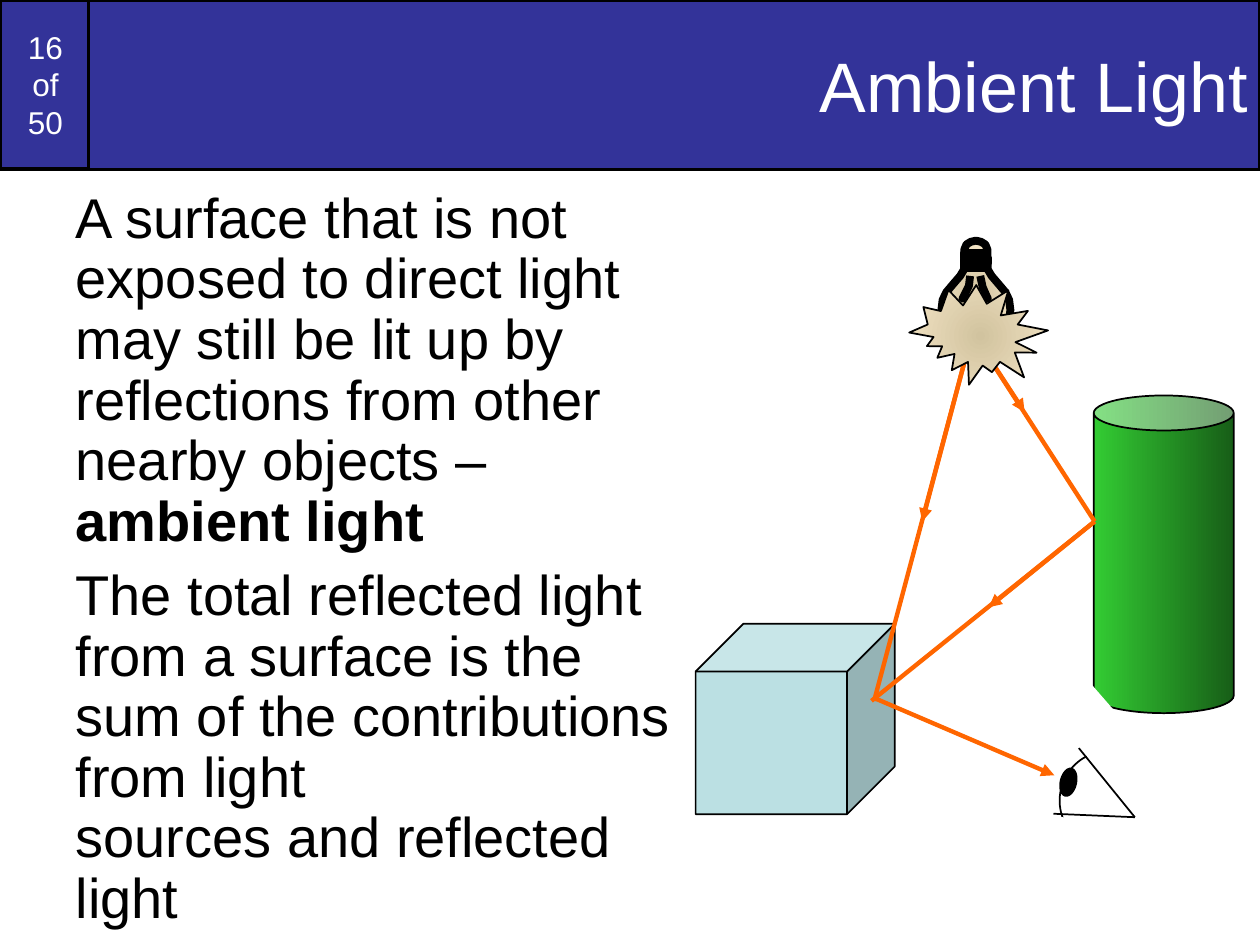
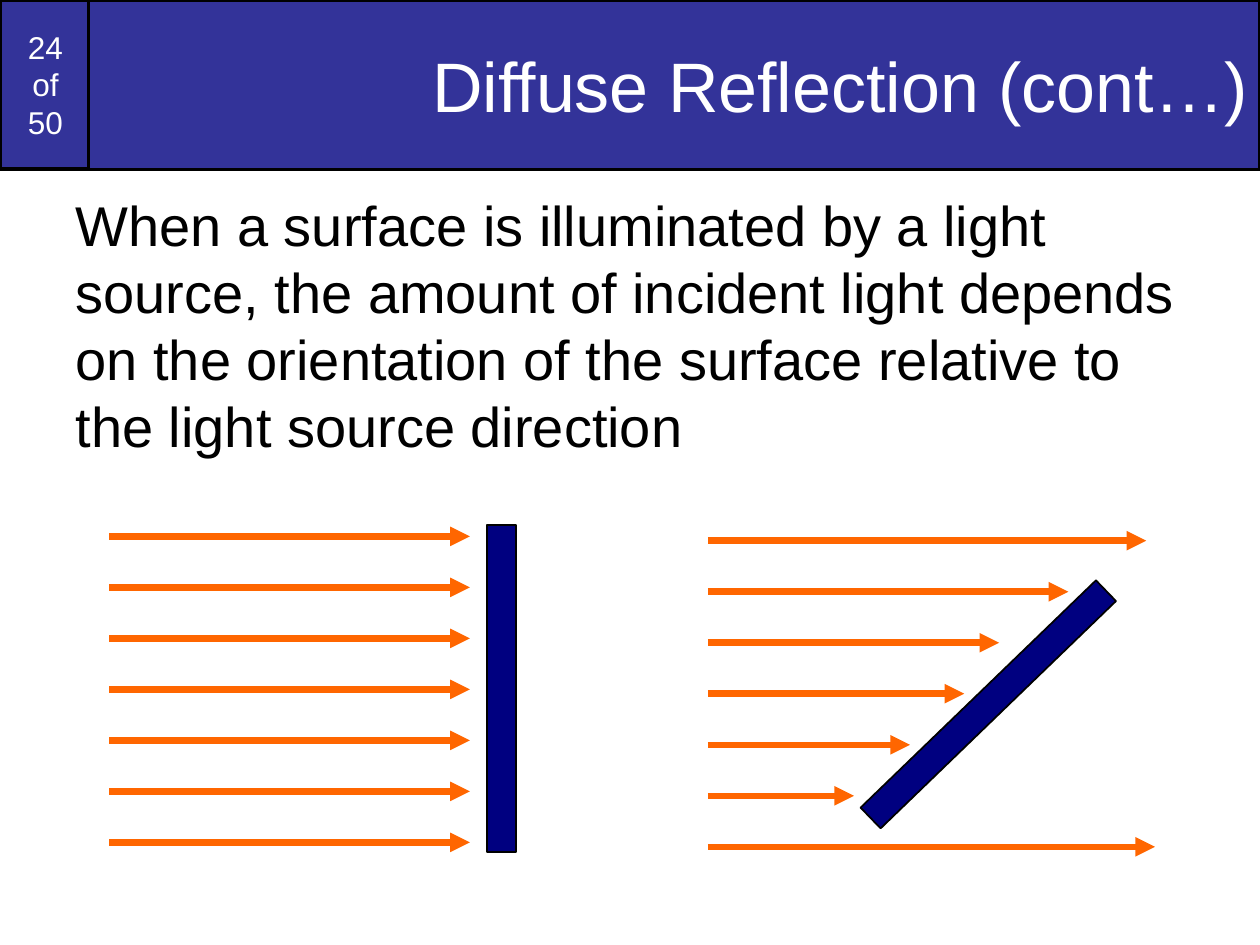
"""Build two lecture slides on ambient light and diffuse reflection."""
import dataclasses

import lxml.etree
import pptx
import pptx.dml.color
import pptx.enum.shapes
import pptx.enum.text
import pptx.oxml
import pptx.oxml.ns
import pptx.util

Pt = pptx.util.Pt
SHAPE = pptx.enum.shapes.MSO_SHAPE
ALIGN = pptx.enum.text.PP_ALIGN
ANCHOR = pptx.enum.text.MSO_ANCHOR
qn = pptx.oxml.ns.qn


@dataclasses.dataclass(frozen=True)
class Theme:
    font: str = "Arial"
    band: str = "333399"
    paper: str = "FFFFFF"
    ink: str = "000000"
    ray: str = "FF6600"
    surface: str = "000080"
    cube: str = "BBE0E3"
    can: tuple = ("33CC33", "175E17")
    glow: tuple = ("D1C39F", "FFEFD1")
    title_size: float = 40
    body_size: float = 32
    number_size: float = 18
    band_line: float = 2
    thin_line: float = 1
    ray_line: float = 2.5
    beam_line: float = 3.75
    bulb_line: float = 4.5


def rgb(color):
    return pptx.dml.color.RGBColor.from_string(color)


class Deck:
    def __init__(self, theme, pages):
        self.theme = theme
        self.pages = pages
        self.prs = pptx.Presentation()
        self.prs.slide_width, self.prs.slide_height = Pt(720), Pt(540)
        self.s = None

    def slide(self, number, title):
        t = self.theme
        self.s = self.prs.slides.add_slide(self.prs.slide_layouts[1])
        sp = self.s.shapes.title
        self.place(sp, 50.5, 0, 669.5, 97)
        self.paint(sp, t.band, t.ink, t.band_line)
        p = self.frame(sp, ANCHOR.MIDDLE).paragraphs[0]
        p.alignment = ALIGN.RIGHT
        self.run(p, title, t.title_size, t.paper)
        box = self.shape(SHAPE.RECTANGLE, (0, 0, 52, 96.5), t.band, width=t.band_line)
        p = self.frame(box, ANCHOR.MIDDLE).paragraphs[0]
        p.alignment = ALIGN.CENTER
        self.run(p, f"{number}\nof\n{self.pages}", t.number_size, t.paper)
        sp._element.addprevious(box._element)

    def body(self, width, paragraphs, spacing=1.0):
        sp = self.s.placeholders[1]
        self.place(sp, 36, 105, width, 435)
        tf = self.frame(sp, ANCHOR.TOP)
        for i, runs in enumerate(paragraphs):
            p = tf.add_paragraph() if i else tf.paragraphs[0]
            p.alignment = ALIGN.LEFT
            p.line_spacing = spacing
            p.space_before = Pt(8 if i else 0)
            pPr = p._p.get_or_add_pPr()
            pPr.set("marL", "0")
            pPr.set("indent", "0")
            lxml.etree.SubElement(pPr, qn("a:buNone"))
            for text, bold in runs:
                self.run(p, text, self.theme.body_size, self.theme.ink, bold)

    def frame(self, sp, anchor):
        tf = sp.text_frame
        tf.word_wrap = True
        tf.auto_size = pptx.enum.text.MSO_AUTO_SIZE.NONE
        tf.vertical_anchor = anchor
        return tf

    def run(self, p, text, size, color, bold=False):
        for i, line in enumerate(text.split("\n")):
            if i:
                p.add_line_break()
            r = p.add_run()
            r.text = line
            r.font.name = self.theme.font
            r.font.size = Pt(size)
            r.font.bold = bold
            r.font.color.rgb = rgb(color)

    def place(self, sp, left, top, width, height):
        sp.left, sp.top = Pt(left), Pt(top)
        sp.width, sp.height = Pt(width), Pt(height)

    def paint(self, sp, fill, line, width, radial=False):
        if fill is None:
            sp.fill.background()
        elif isinstance(fill, tuple):
            sp.fill.gradient()
            sp.fill.gradient_angle = 0
            for stop, color, position in zip(sp.fill.gradient_stops, fill, (0, 1)):
                stop.color.rgb = rgb(color)
                stop.position = position
            if radial:
                lin = sp._element.spPr.find(".//" + qn("a:lin"))
                path = lxml.etree.Element(qn("a:path"), path="circle")
                sides = dict.fromkeys("ltrb", "50000")
                lxml.etree.SubElement(path, qn("a:fillToRect"), sides)
                lin.getparent().replace(lin, path)
        else:
            sp.fill.solid()
            sp.fill.fore_color.rgb = rgb(fill)
        if line is None:
            sp.line.fill.background()
        else:
            sp.line.color.rgb = rgb(line)
            sp.line.width = Pt(width)

    def group(self):
        return self.s.shapes.add_group_shape().shapes

    def shape(self, kind, at, fill, line="000000", width=1, rot=0, parent=None, radial=False):
        sp = (parent or self.s.shapes).add_shape(kind, *map(Pt, at))
        sp.shadow.inherit = False
        sp.rotation = rot
        self.paint(sp, fill, line, width, radial)
        return sp

    def outline(self, parent, contours, fill, width, closed):
        start, *rest = [[(Pt(x), Pt(y)) for x, y in c] for c in contours]
        builder = parent.build_freeform(*start[0], scale=1.0)
        builder.add_line_segments(start[1:], close=closed)
        for contour in rest:
            builder.move_to(*contour[0])
            builder.add_line_segments(contour[1:], close=closed)
        sp = builder.convert_to_shape()
        sp.shadow.inherit = False
        self.paint(sp, fill, self.theme.ink, width, radial=True)

    def line(self, start, end, color, width, arrow=False, parent=None):
        straight = pptx.enum.shapes.MSO_CONNECTOR.STRAIGHT
        c = (parent or self.s.shapes).add_connector(straight, *map(Pt, start + end))
        c.line.color.rgb = rgb(color)
        c.line.width = Pt(width)
        if arrow:
            lxml.etree.SubElement(c.line._get_or_add_ln(), qn("a:tailEnd"), type="triangle")
        lxml.etree.SubElement(c._element.spPr, qn("a:effectLst"))

    def rays(self, pairs, width, arrow):
        for start, end in pairs:
            self.line(start, end, self.theme.ray, width, arrow)

    def eye(self):
        t = self.theme
        g = self.group()
        self.shape(SHAPE.OVAL, (605.5, 429, 57, 57), None, rot=13, parent=g)
        for left, top, rot in ((591, 468, 2), (597.5, 420, 49)):
            self.shape(SHAPE.RECTANGLE, (left, top, 89.5, 29), t.paper, None, rot=rot, parent=g)
        for lid in ((616.5, 427.5), (602, 465)):
            self.line((648.5, 467), lid, t.ink, t.thin_line, parent=g)
        self.shape(SHAPE.OVAL, (606, 439, 9, 16), t.ink, rot=13, parent=g)

    def bulb(self):
        t = self.theme
        g = self.group()
        self.shape(SHAPE.EXPLOSION2, (529, 155, 62.5, 74), t.glow, rot=68, parent=g, radial=True)
        axis = 557.7
        half = [(0, 137.5), (3, 138.2), (5.4, 139.7), (6.6, 142.6), (6.8, 154), (9, 157.7),
                (13.3, 162.7), (16.9, 167), (19, 171.4), (19.7, 177.1), (19, 183.6),
                (16.9, 188.6), (12.6, 193), (6.9, 196.6), (0, 197.5)]
        glass = [(axis - x, y) for x, y in half]
        glass += [(axis + x, y) for x, y in half[-2:0:-1]]
        self.outline(g, [glass], t.glow, t.bulb_line, True)
        filament = [(560.2, 157.7), (561.6, 164.2), (563.8, 169.2), (564.5, 170.6),
                    (561.6, 169.2), (559.4, 171.4), (556.6, 169.2), (555.1, 171.4),
                    (553, 169.9), (550.1, 170.6), (553.7, 163.4), (554.4, 157.7)]
        left, right = axis - 6.8, axis + 6.8
        thread = []
        for i in range(4):
            ends = (left, right) if i % 2 else (right, left)
            thread += [(x, 153.4 - 2.9 * i) for x in ends]
        self.outline(g, [filament, thread], None, t.bulb_line, False)


def ambient_light(d):
    t = d.theme
    d.slide(16, "Ambient Light")
    d.body(371.5, [
        [("A surface that is not exposed to direct light may still be lit up by "
          "reflections from other nearby objects – ", False), ("ambient light", True)],
        [("The total reflected light from a surface is the sum of the contributions "
          "from light \nsources and reflected \nlight", False)],
    ], 0.9)
    d.shape(SHAPE.CAN, (625, 226, 80, 181.5), t.can)
    d.shape(SHAPE.CUBE, (397.5, 356.5, 113.75, 108.75), t.cube)
    lamp_right, lamp_left, can_hit = (554.5, 188), (556, 188.5), (625.5, 298)
    d.rays([(lamp_right, (585.5, 235.5)), (can_hit, (565, 347)),
            (lamp_left, (527, 298)), ((501, 399.5), (602.5, 443))], t.ray_line, True)
    d.eye()
    d.rays([(lamp_right, can_hit), (lamp_left, (499.5, 400.5)),
            (can_hit, (498, 400.5))], t.ray_line, False)
    d.bulb()


def diffuse_reflection(d):
    t = d.theme
    d.slide(24, "Diffuse Reflection (cont…)")
    d.body(648, [[("When a surface is illuminated by a light source, the amount of incident "
                   "light depends on the orientation of the surface relative to the light "
                   "source direction", False)]])
    beams = (
        ((278.5, 300, 16.5, 187), 0, 62.5, 306.5, [268.5] * 7),
        ((556.5, 309, 16.5, 187), 46, 404.5, 309, [655, 610.5, 571, 551, 520, 488, 660]),
    )
    for surface, rot, left, top, ends in beams:
        d.shape(SHAPE.RECTANGLE, surface, t.surface, rot=rot)
        rows = [top + 29.15 * i for i in range(len(ends))]
        d.rays([((left, y), (x, y)) for x, y in zip(ends, rows)], t.beam_line, True)


def main():
    d = Deck(Theme(), 50)
    ambient_light(d)
    diffuse_reflection(d)
    d.prs.save("out.pptx")


if __name__ == "__main__":
    main()
